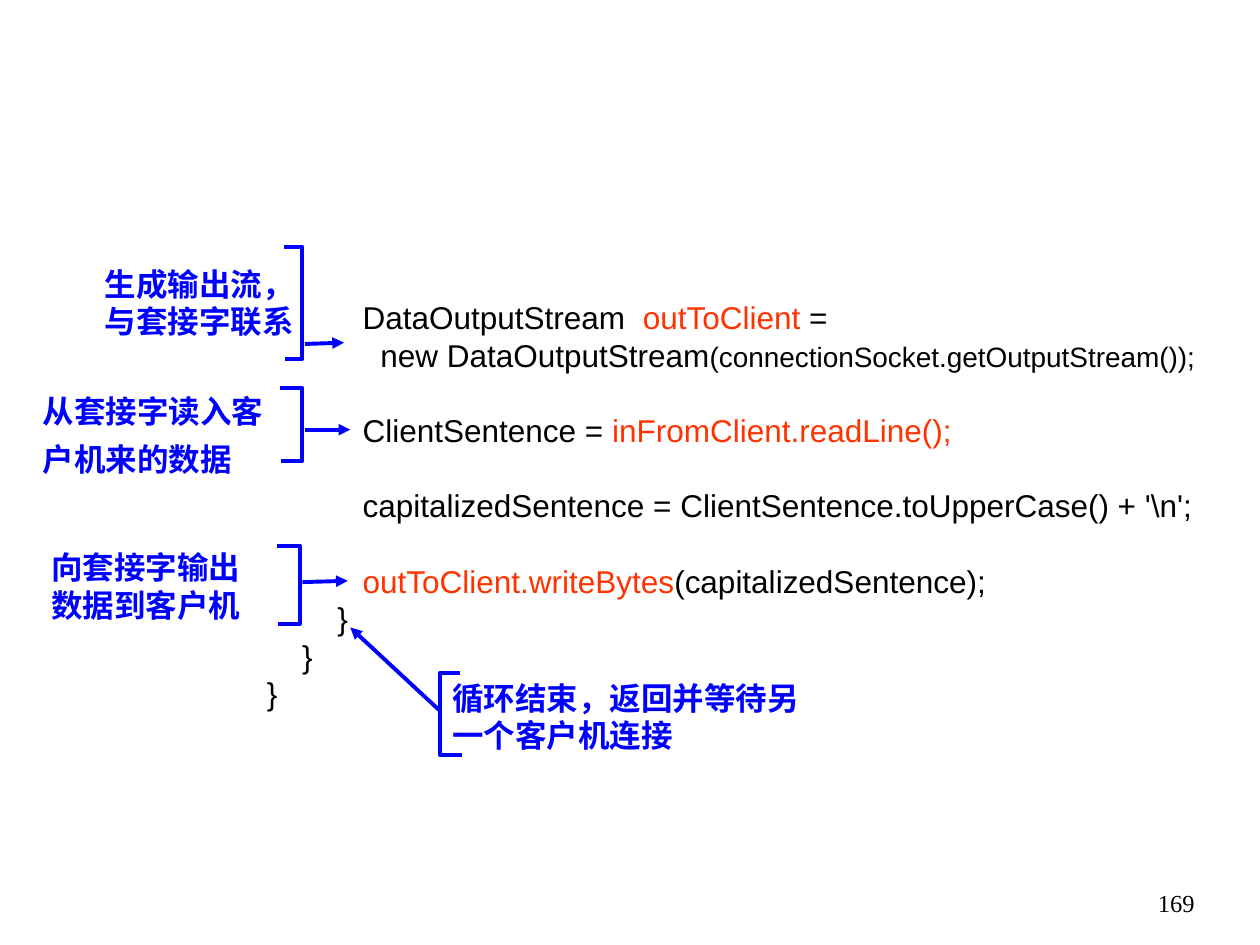
from pptx import Presentation
from pptx.dml.color import RGBColor
from pptx.enum.text import MSO_ANCHOR, PP_ALIGN
from pptx.oxml.ns import qn
from pptx.util import Inches, Pt
from lxml import etree

COLORS = {"code": "000000", "highlight": "FF3300", "note": "0000FF"}


def add_box(left, top, width, height, anchor=MSO_ANCHOR.MIDDLE):
    box = page.shapes.add_textbox(Inches(left), Inches(top), Inches(width), Inches(height))
    box.text_frame.word_wrap = True
    box.text_frame.vertical_anchor = anchor
    return box.text_frame


def style(span, font, size, color, bold=False):
    span.font.name = font
    span.font.size = Pt(size)
    span.font.bold = bold
    span.font.color.rgb = RGBColor.from_string(COLORS[color])


deck = Presentation()
deck.slide_width, deck.slide_height = Inches(10), Inches(7.5)
page = deck.slides.add_slide(deck.slide_layouts[6])

# Page number
frame = add_box(9.08, 7, 0.5, 0.5, MSO_ANCHOR.TOP)
frame.text = "169"
frame.paragraphs[0].alignment = PP_ALIGN.RIGHT
style(frame.paragraphs[0].runs[0], "Times New Roman", 14, "code")

# Code: indent in inches, blank lines above, runs of (text, color, size)
LINE_PITCH = 21.5
code_lines = [
    (0.76, 0, [("DataOutputStream  ", "code", 18), ("outToClient ", "highlight", 18),
               ("=", "code", 18)]),
    (0.9, 0, [("new DataOutputStream", "code", 18),
              ("(connectionSocket.getOutputStream());", "code", 16)]),
    (0.76, 1, [("ClientSentence = ", "code", 18),
               ("inFromClient.readLine();", "highlight", 18)]),
    (0.76, 1, [("capitalizedSentence = ClientSentence.toUpperCase() + '\\n';", "code", 18)]),
    (0.76, 1, [("outToClient.writeBytes", "highlight", 18),
               ("(capitalizedSentence);", "code", 18)]),
    (0.56, 0, [("}", "code", 18)]),
    (0.28, 0, [("}", "code", 18)]),
    (0, 0, [("}", "code", 18)]),
]
frame = add_box(2.02, 1.77, 7.65, 4.34, MSO_ANCHOR.TOP)
frame.word_wrap = False
frame.margin_top = Inches(0.6)
for index, (indent, gap, parts) in enumerate(code_lines):
    para = frame.add_paragraph() if index else frame.paragraphs[0]
    para.line_spacing = Pt(LINE_PITCH)
    para.space_before = Pt(LINE_PITCH * gap)
    para._p.get_or_add_pPr().set("marL", str(Inches(indent)))
    for text, color, size in parts:
        span = para.add_run()
        span.text = text
        style(span, "Arial", size, color)

# Notes: text, box, alignment, line spacing
notes = [
    ("从套接字读入客户机来的数据", (0.24, 3.01, 2.05, 0.8), PP_ALIGN.LEFT, Pt(27.5)),
    ("生成输出流，与套接字联系", (0.61, 2.05, 1.82, 0.7), PP_ALIGN.RIGHT, None),
    ("向套接字输出数据到客户机", (0.31, 4.3, 1.74, 0.7), PP_ALIGN.LEFT, None),
    ("循环结束，返回并等待另一个客户机连接", (3.49, 5.33, 2.98, 0.71), PP_ALIGN.LEFT, None),
]
for text, place, alignment, spacing in notes:
    frame = add_box(*place)
    frame.text = text
    para = frame.paragraphs[0]
    para.alignment = alignment
    para.line_spacing = spacing
    style(para.runs[0], "Comic Neue", 18, "note", bold=True)

# Brackets (upper tip, spine, lower tip, top, bottom) with their arrows (from, to)
brackets = [
    ((2.22, 2.4, 2.23, 3.08, 3.66), (2.42, 3.41, 2.78, 3.41)),
    ((2.25, 2.4, 2.26, 1.96, 2.85), (2.42, 2.73, 2.73, 2.72)),
    ((2.2, 2.38, 2.21, 4.33, 4.95), (2.4, 4.62, 2.76, 4.61)),
    ((3.65, 3.49, 3.67, 5.34, 5.99), (3.49, 5.64, 2.78, 4.98)),
]
for (upper, spine, lower, top, bottom), ends in brackets:
    outline = page.shapes.build_freeform(Inches(upper), Inches(top))
    corners = [(spine, top), (spine, bottom), (lower, bottom)]
    outline.add_line_segments([(Inches(x), Inches(y)) for x, y in corners], close=False)
    bracket = outline.convert_to_shape()
    bracket.fill.background()
    bracket.shadow.inherit = False

    arrow = page.shapes.add_connector(1, *[Inches(value) for value in ends])
    for shape in (bracket, arrow):
        shape.line.color.rgb = RGBColor.from_string(COLORS["note"])
        shape.line.width = Pt(2.25)
    etree.SubElement(arrow.line._get_or_add_ln(), qn("a:tailEnd"), type="triangle")
    etree.SubElement(arrow._element.spPr, qn("a:effectLst"))

deck.save("out.pptx")
